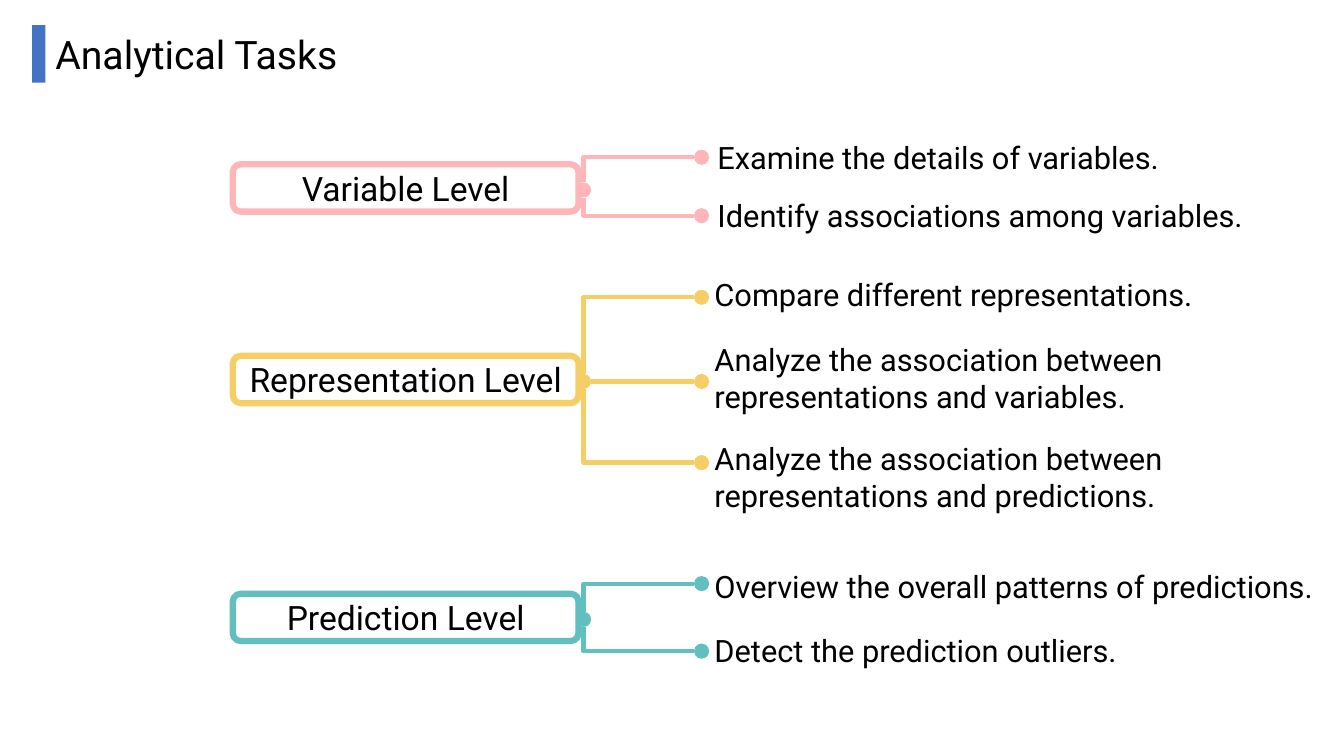
from lxml.etree import SubElement
from pptx import Presentation
from pptx.dml.color import RGBColor
from pptx.enum.shapes import MSO_CONNECTOR, MSO_SHAPE
from pptx.enum.text import MSO_ANCHOR, MSO_AUTO_SIZE, PP_ALIGN
from pptx.oxml.ns import qn
from pptx.util import Inches, Pt

WIDE, HIGH = 13.33, 7.5
COLS, ROWS = 40, 30
COL, ROW = WIDE / COLS, HIGH / ROWS
DOT = 0.15
HEX = {"ink": "000000", "paper": "FFFFFF", "bar": "4472C4",
       "pink": "FFB6B9", "gold": "F6CE66", "teal": "61C0BF"}

LEVELS = [
    ("Variable Level", "pink", 6.52, 21.06, [
        ("Examine the details of variables.", -0.28, -1.2, 1),
        ("Identify associations among variables.", 2.04, 1.08, 1)]),
    ("Representation Level", "gold", 14.12, 20.97, [
        ("Compare different representations.", -2.32, -3.36, 1),
        ("Analyze the association between representations and variables.", 1.02, -0.8, 2),
        ("Analyze the association between representations and predictions.", 4.24, 3.12, 2)]),
    ("Prediction Level", "teal", 23.56, 20.97, [
        ("Overview the overall patterns of predictions.", -0.4, -1.24, 1),
        ("Detect the prediction outliers.", 2.28, 1.32, 1)]),
]


def color(name):
    """Return the named colour."""
    return RGBColor.from_string(HEX[name])


def style(frame, text, size):
    """Put styled text into a frame."""
    frame.text = text
    font = frame.paragraphs[0].runs[0].font
    font.name, font.size = "Roboto", Pt(size)
    font.color.rgb = color("ink")


def label(slide, text, size, box):
    """Add a wrapped text box."""
    frame = slide.shapes.add_textbox(*map(Inches, box)).text_frame
    frame.word_wrap = True
    frame.auto_size = MSO_AUTO_SIZE.SHAPE_TO_FIT_TEXT
    style(frame, text, size)


def solid(slide, kind, fill, box):
    """Add a filled shape without outline."""
    shape = slide.shapes.add_shape(kind, *map(Inches, box))
    shape.shadow.inherit = False
    shape.fill.solid()
    shape.fill.fore_color.rgb = color(fill)
    shape.line.fill.background()
    return shape


def dot(slide, hue, x, y):
    """Add a round dot centred on a point."""
    solid(slide, MSO_SHAPE.OVAL, hue, (x - DOT / 2, y - DOT / 2, DOT, DOT))


def link(slide, hue, start, end):
    """Join two points, with one bend unless they are level."""
    level = start[1] == end[1]
    kind = MSO_CONNECTOR.STRAIGHT if level else MSO_CONNECTOR.ELBOW
    line = slide.shapes.add_connector(kind, *map(Inches, start + end))
    line.line.color.rgb = color(hue)
    line.line.width = Pt(3)
    props = line._element.spPr
    SubElement(props, qn("a:effectLst"))
    if not level:
        props.find(qn("a:prstGeom")).set("prst", "bentConnector2")


def title(slide, text, box):
    """Draw the heading and the bar at its left."""
    left, top, width, height = box
    bar = 0.13
    solid(slide, MSO_SHAPE.RECTANGLE, "bar", (left, top, bar, height))
    label(slide, text, 28, (left + bar, top, width - bar, height))


def branch(slide, name, hue, edge, tasks, box):
    """Draw a level box and the tasks that fork from it."""
    left, top, width, height = box
    hub, mid = left + width + 0.05, top + 1.02 * ROW
    tip = hub + 3.51 * COL
    for text, drop, rise, lines in tasks:
        y = top + drop * ROW
        side = (y > mid) - (y < mid)
        end = (hub, mid + side * DOT / 2) if side else (hub + DOT / 2, mid)
        link(slide, hue, (tip - DOT / 2, y), end)
        dot(slide, hue, tip, y)
        spot = (edge, top + rise * ROW, WIDE - edge, 0.1 + 0.37 * lines)
        label(slide, text, 22, spot)
    frame = solid(slide, MSO_SHAPE.ROUNDED_RECTANGLE, "paper", box)
    frame.line.color.rgb = color(hue)
    frame.line.width = Pt(4.5)
    frame.text_frame.vertical_anchor = MSO_ANCHOR.MIDDLE
    style(frame.text_frame, name, 24)
    frame.text_frame.paragraphs[0].alignment = PP_ALIGN.CENTER
    dot(slide, hue, hub, mid)


def main():
    """Build and save the slide."""
    deck = Presentation()
    deck.slide_width, deck.slide_height = Inches(WIDE), Inches(HIGH)
    slide = deck.slides.add_slide(deck.slide_layouts[6])
    title(slide, "Analytical Tasks", (0.96 * COL, ROW, 10.7 * COL, 2.28 * ROW))
    for name, hue, row, col, tasks in LEVELS:
        box = (6.93 * COL, row * ROW, 10.29 * COL, 1.88 * ROW)
        branch(slide, name, hue, col * COL, tasks, box)
    deck.save("out.pptx")


if __name__ == "__main__":
    main()
